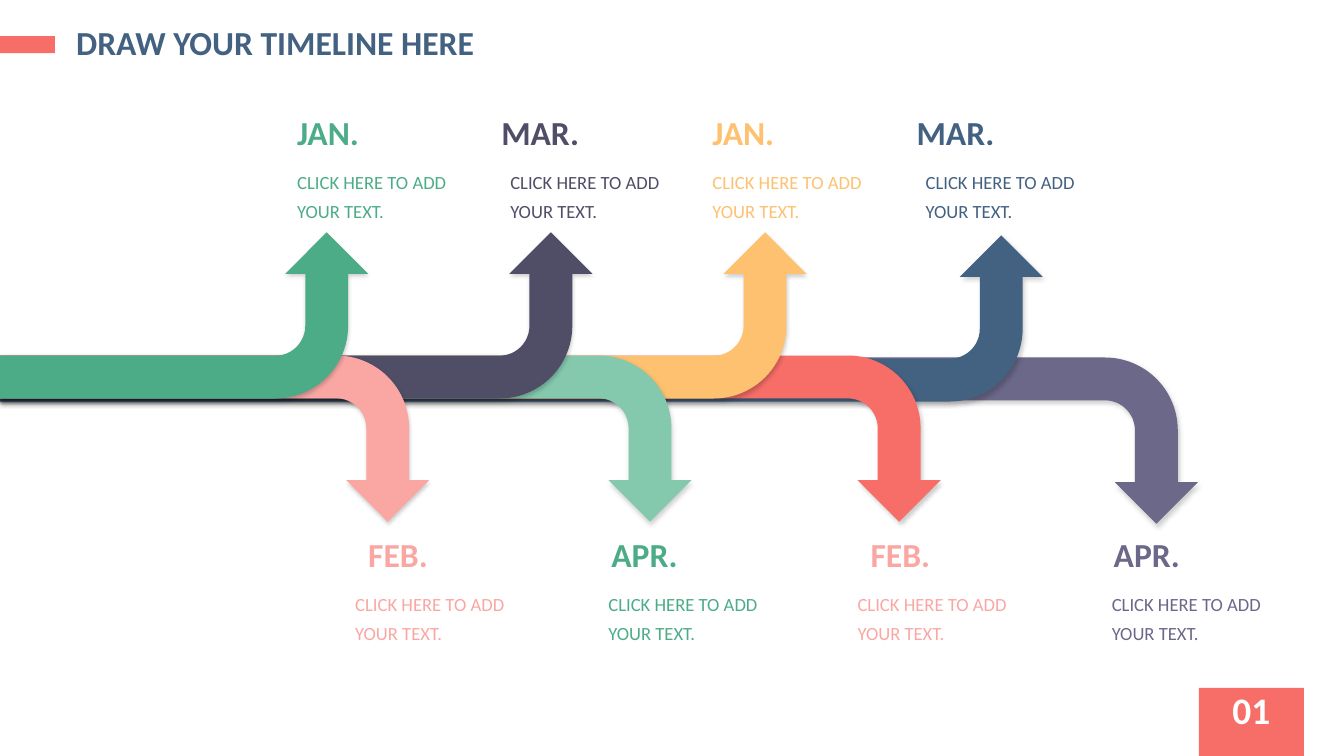
from dataclasses import dataclass

from lxml import etree
from pptx import Presentation
from pptx.dml.color import RGBColor
from pptx.enum.shapes import MSO_SHAPE as Shape
from pptx.enum.text import MSO_ANCHOR as Anchor, PP_ALIGN as Align
from pptx.oxml import parse_xml
from pptx.oxml.ns import nsdecls
from pptx.util import Pt

PX = 9080  # EMU per pixel


@dataclass(frozen=True)
class Theme:
    font: str = "Calibri"
    green: str = "4DAC88"
    pink: str = "FAA7A4"
    ink: str = "504E67"
    mint: str = "84C8AE"
    amber: str = "FDC170"
    coral: str = "F76D68"
    blue: str = "436181"
    purple: str = "6B6889"
    white: str = "FFFFFF"
    heading: float = 24
    number: float = 26.7
    note: float = 13.3


theme = Theme()
SHADOW = (
    f'<a:effectLst {nsdecls("a")}><a:outerShdw blurRad="39370" dist="22860" '
    'dir="5400000" algn="t" rotWithShape="0"><a:srgbClr val="000000">'
    '<a:alpha val="20000"/></a:srgbClr></a:outerShdw></a:effectLst>'
)


def write(box, text, *, size, color, bold=False, align=Align.LEFT,
          anchor=Anchor.MIDDLE, wrap=True, spacing=1.0, before=0):
    """Put one formatted paragraph into a text box or placeholder."""
    frame = box.text_frame
    frame.word_wrap = wrap
    frame.vertical_anchor = anchor
    paragraph = frame.paragraphs[0]
    paragraph.alignment = align
    paragraph.line_spacing = spacing
    paragraph.space_before = Pt(before)
    run = paragraph.add_run()
    run.text = text
    run.font.name = theme.font
    run.font.size = Pt(size)
    run.font.bold = bold
    run.font.color.rgb = RGBColor.from_string(color)


def add_filled(kind, left, top, width, height, color):
    """Add a preset shape with a plain fill, no line and no shadow."""
    shape = slide.shapes.add_shape(
        kind, *(round(v * PX) for v in (left, top, width, height)))
    shape.shadow.inherit = False
    shape.fill.solid()
    shape.fill.fore_color.rgb = RGBColor.from_string(color)
    shape.line.fill.background()
    return shape


deck = Presentation()
deck.slide_width, deck.slide_height = 1343 * PX, 755 * PX
slide = deck.slides.add_slide(deck.slide_layouts[5])

add_filled(Shape.RECTANGLE, 0, 36, 55, 17, theme.coral)
add_filled(Shape.RECTANGLE, 1198, 687, 105, 68, theme.coral)

title = slide.shapes.title
title.left, title.top, title.width, title.height = (
    v * PX for v in (66, 13, 583, 63))
write(title, "DRAW YOUR TIMELINE HERE", size=theme.heading,
      color=theme.blue, bold=True, spacing=0.9, before=10)

page_number = slide.shapes.add_textbox(1198 * PX, 686 * PX, 105 * PX, 54 * PX)
write(page_number, "01", size=theme.number, color=theme.white, bold=True,
      align=Align.CENTER, anchor=Anchor.TOP, spacing=0.9, before=10)

# Month, arrow colour, text colour, arrow right, arrow top, month left, note left
milestones = [
    ("JAN.", theme.green, theme.green, 368, 232, 287, 287),
    ("FEB.", theme.pink, theme.pink, 429, 355, 358, 345),
    ("MAR.", theme.ink, theme.ink, 592, 232, 491, 500),
    ("APR.", theme.mint, theme.green, 691, 355, 601, 598),
    ("JAN.", theme.amber, theme.amber, 806, 232, 702, 702),
    ("FEB.", theme.coral, theme.pink, 940, 355, 860, 847),
    ("MAR.", theme.blue, theme.blue, 1042, 235, 906, 915),
    ("APR.", theme.purple, theme.purple, 1197, 357, 1103, 1101),
]
month_widths = {"JAN.": 83, "FEB.": 81, "MAR.": 99, "APR.": 87}
BEND = 166  # height of a turned arrow

# The longest arrow lies at the back; every arrow starts at the left edge
for index, milestone in reversed(list(enumerate(milestones))):
    _, arrow_color, _, reach, arrow_top, _, _ = milestone
    points_down = index % 2 == 1
    arrow = add_filled(Shape.BENT_ARROW, (reach - BEND) / 2,
                       arrow_top + (BEND - reach) / 2, BEND, reach, arrow_color)
    for slot, value in enumerate((0.258, 0.25, 0.25, 0.438)):
        arrow.adjustments[slot] = value
    arrow.rotation = 270 if points_down else 90
    properties = arrow._element.spPr
    turn = properties.get_or_add_xfrm()
    turn.set("flipH", "1")
    if points_down:
        turn.set("flipV", "1")
    for effects in properties.findall(etree.QName(
            "http://schemas.openxmlformats.org/drawingml/2006/main", "effectLst")):
        properties.replace(effects, parse_xml(SHADOW))

for index, milestone in enumerate(milestones):
    month, _, text_color, _, _, month_left, note_left = milestone
    label_top = 528 if index % 2 else 107
    label = slide.shapes.add_group_shape()
    month_box = label.shapes.add_textbox(
        month_left * PX, label_top * PX, month_widths[month] * PX, 50 * PX)
    write(month_box, month, size=theme.heading, color=text_color,
          bold=True, wrap=False)
    note_box = label.shapes.add_textbox(
        note_left * PX, (label_top + 52) * PX, 204 * PX, 68 * PX)
    write(note_box, "CLICK HERE TO ADD YOUR TEXT.", size=theme.note,
          color=text_color, spacing=1.3)

deck.save("out.pptx")
